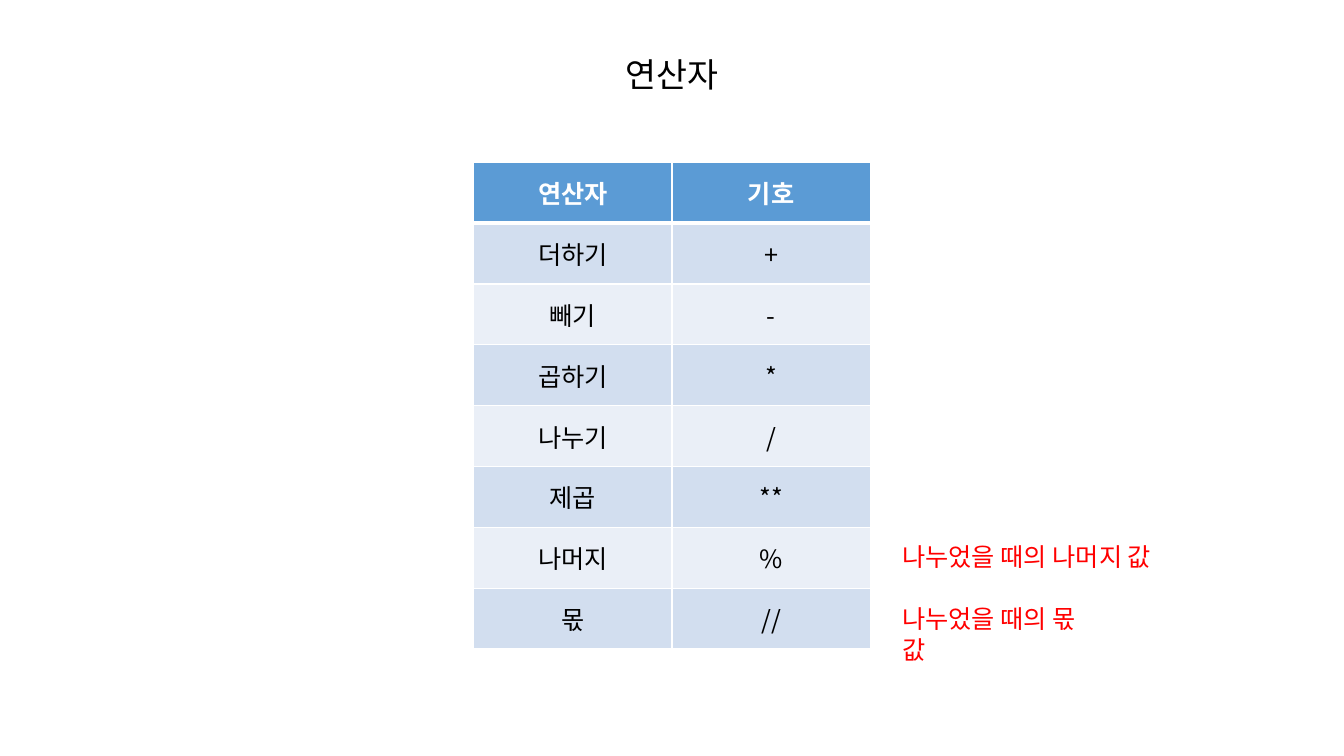
"""Build a slide that lists arithmetic operators and their symbols."""
from lxml.etree import SubElement
from pptx import Presentation
from pptx.dml.color import RGBColor
from pptx.enum.text import MSO_ANCHOR, PP_ALIGN
from pptx.oxml.ns import qn
from pptx.util import Inches, Pt

FONT = "Noto Sans CJK KR"
COLORS = {"text": "000000", "white": "FFFFFF", "header": "5B9BD5",
          "odd": "D2DEEF", "even": "EAEFF7", "note": "FF0000"}
OPERATORS = [("연산자", "기호"), ("더하기", "+"), ("빼기", "-"), ("곱하기", "*"),
             ("나누기", "/"), ("제곱", "**"), ("나머지", "%"), ("몫", "//")]
NOTES = [("나누었을 때의 나머지 값", 2.69), ("나누었을 때의 몫 값", 2.2)]


def write(frame, words, size, color, align=PP_ALIGN.LEFT, bold=False):
    """Put one formatted paragraph in a text frame."""
    frame.text = words
    paragraph = frame.paragraphs[0]
    paragraph.alignment = align
    run = paragraph.runs[0]
    run.font.size, run.font.bold, run.font.name = Pt(size), bold, FONT
    run.font.color.rgb = RGBColor.from_string(COLORS[color])
    SubElement(run.font._element, qn("a:ea"), typeface=FONT)


def add_label(slide, box, words, size, color, align=PP_ALIGN.LEFT):
    """Add a wrapping text box at left, top, width, height."""
    label = slide.shapes.add_textbox(*map(Inches, box)).text_frame
    label.word_wrap = True
    write(label, words, size, color, align)


def add_borders(cell, widths):
    """Draw white borders with a point width for each side."""
    for side, width in widths.items():
        line = SubElement(cell._tc.get_or_add_tcPr(), qn(f"a:ln{side}"), w=str(Pt(width)))
        fill = SubElement(line, qn("a:solidFill"))
        SubElement(fill, qn("a:srgbClr"), val=COLORS["white"])


def add_operator_table(slide, box):
    """Add the table of operators, filling the box with equal rows and columns."""
    left, top, width, height = map(Inches, box)
    table = slide.shapes.add_table(len(OPERATORS), 2, left, top, width, height).table
    for index, entry in enumerate(OPERATORS):
        header = index == 0
        band = "header" if header else "odd" if index % 2 else "even"
        widths = {"L": 1, "R": 1, "T": 3 if index == 1 else 1, "B": 3 if header else 1}
        for column, words in enumerate(entry):
            cell = table.cell(index, column)
            cell.vertical_anchor = MSO_ANCHOR.MIDDLE
            add_borders(cell, widths)
            cell.fill.solid()
            cell.fill.fore_color.rgb = RGBColor.from_string(COLORS[band])
            write(cell.text_frame, words, 18, "white" if header else "text",
                  PP_ALIGN.CENTER, header)


def add_notes(slide, box):
    """Add the red remarks beside the last table rows, one per row."""
    left, top, pitch, height = box
    for index, (words, width) in enumerate(NOTES):
        add_label(slide, (left, top + index * pitch, width, height), words, 18, "note")


def main():
    """Build and save the slide."""
    deck = Presentation()
    deck.slide_width, deck.slide_height = Inches(13.33), Inches(7.5)
    slide = deck.slides.add_slide(deck.slide_layouts[6])
    add_label(slide, (0, 0.49, 13.33, 0.5), "연산자", 24, "text", PP_ALIGN.CENTER)
    add_operator_table(slide, (4.7, 1.61, 3.93, 4.83))
    add_notes(slide, (8.85, 5.32, 0.62, 0.4))
    deck.save("out.pptx")


main()
